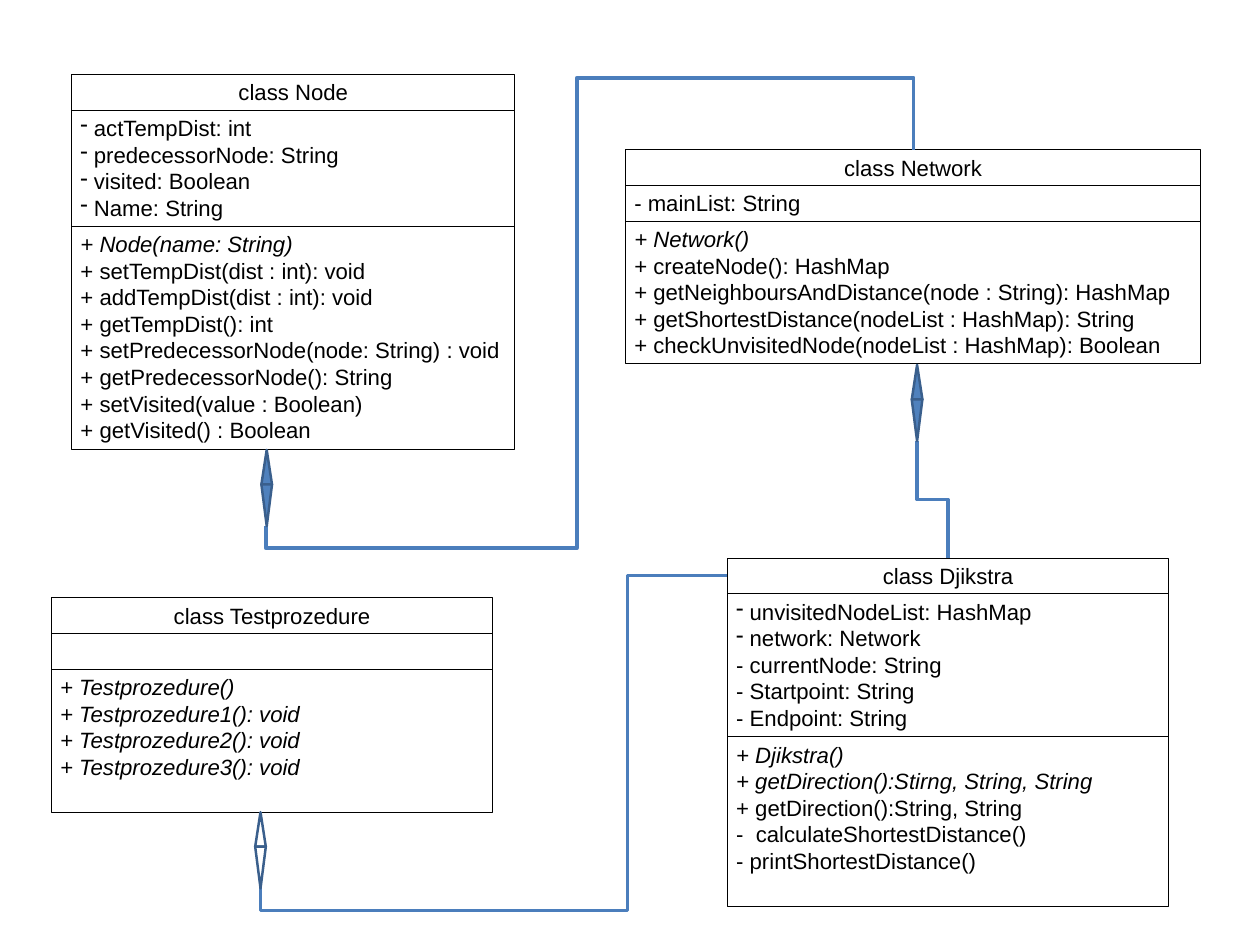
from lxml import etree
from pptx import Presentation
from pptx.dml.color import RGBColor
from pptx.enum.shapes import MSO_CONNECTOR, MSO_SHAPE
from pptx.enum.text import MSO_ANCHOR, PP_ALIGN
from pptx.oxml.ns import qn
from pptx.util import Inches, Pt

RECTANGLE = MSO_SHAPE.RECTANGLE
TRIANGLE = MSO_SHAPE.ISOSCELES_TRIANGLE
ELBOW = MSO_CONNECTOR.ELBOW
TOP = MSO_ANCHOR.TOP
LEFT, CENTER = PP_ALIGN.LEFT, PP_ALIGN.CENTER

COLORS = {
    "text": "000000",
    "border": "000000",
    "diamond": "4F81BD",
    "diamond_edge": "3A5F8C",
    "connector": "4B7EBC",
}
FONT = "Arial"
FONT_SIZE = 18
LINE_HEIGHT = 21.8 / 72
ROW_PADDING = 0.1
DIAMOND_WIDTH = 0.12
DIAMOND_UPPER, DIAMOND_LOWER = 0.39, 0.47

# Left, top, width, name, attributes, methods, italic methods, lines in the
# method row. An attribute that starts with a space gets a dash as its bullet.
CLASSES = [
    (0.81, 0.84, 5, "class Node",
     [" actTempDist: int", " predecessorNode: String",
      " visited: Boolean", " Name: String"],
     ["+ Node(name: String)", "+ setTempDist(dist : int): void",
      "+ addTempDist(dist : int): void", "+ getTempDist(): int",
      "+ setPredecessorNode(node: String) : void",
      "+ getPredecessorNode(): String", "+ setVisited(value : Boolean)",
      "+ getVisited() : Boolean"], 1, 8),
    (8.21, 6.3, 4.98, "class Djikstra",
     [" unvisitedNodeList: HashMap", " network: Network",
      "- currentNode: String", "- Startpoint: String", "- Endpoint: String"],
     ["+ Djikstra()", "+ getDirection():Stirng, String, String",
      "+ getDirection():String, String", "-  calculateShortestDistance()",
      "- printShortestDistance()"], 2, 6),
    (7.06, 1.69, 6.49, "class Network",
     ["- mainList: String"],
     ["+ Network()", "+ createNode(): HashMap",
      "+ getNeighboursAndDistance(node : String): HashMap",
      "+ getShortestDistance(nodeList : HashMap): String",
      "+ checkUnvisitedNode(nodeList : HashMap): Boolean"], 1, 5),
    (0.58, 6.75, 4.98, "class Testprozedure",
     [],
     ["+ Testprozedure()", "+ Testprozedure1(): void",
      "+ Testprozedure2(): void", "+ Testprozedure3(): void"], 4, 5),
]

# Centre, top, filled
DIAMONDS = [(10.35, 4.12, True), (3.01, 5.08, True), (2.94, 9.17, False)]

# Start, end, and the bends as alternating y and x positions
CONNECTORS = [
    ((3, 5.94), (10.31, 1.69), (6.19, 6.51, 0.88)),
    ((10.35, 4.98), (10.7, 6.3), (5.64,)),
    ((2.94, 10.03), (8.21, 6.5), (10.28, 7.08)),
]


def color(name):
    return RGBColor.from_string(COLORS[name])


def add_outlined_shape(group, kind, frame, line_color, line_width, fill=None):
    shape = group.shapes.add_shape(kind, *(Inches(length) for length in frame))
    shape.shadow.inherit = False
    if fill:
        shape.fill.solid()
        shape.fill.fore_color.rgb = color(fill)
    else:
        shape.fill.background()
    shape.line.color.rgb = color(line_color)
    shape.line.width = Pt(line_width)
    return shape


def add_dash_bullet(paragraph):
    properties = paragraph._p.get_or_add_pPr()
    properties.set("marL", "0")
    properties.set("indent", "0")
    etree.SubElement(properties, qn("a:buChar")).set("char", "-")


def add_row(group, frame, lines, alignment=LEFT, italic_count=0):
    """Draw one compartment of a class box."""
    shape = add_outlined_shape(group, RECTANGLE, frame, "border", 0.75)
    text_frame = shape.text_frame
    text_frame.word_wrap = True
    text_frame.vertical_anchor = TOP
    for index, line in enumerate(lines):
        paragraph = text_frame.add_paragraph() if index else text_frame.paragraphs[0]
        paragraph.alignment = alignment
        if line.startswith(" "):
            add_dash_bullet(paragraph)
        run = paragraph.add_run()
        run.text = line
        run.font.name = FONT
        run.font.size = Pt(FONT_SIZE)
        run.font.italic = index < italic_count
        run.font.color.rgb = color("text")


def add_class_box(slide, left, top, width, name, attributes, methods,
                  italic_count, method_lines):
    group = slide.shapes.add_group_shape()
    rows = [
        ([name], 1, CENTER, 0),
        (attributes, max(1, len(attributes)), LEFT, 0),
        (methods, method_lines, LEFT, italic_count),
    ]
    for lines, line_count, alignment, italics in rows:
        height = line_count * LINE_HEIGHT + ROW_PADDING
        add_row(group, (left, top, width, height), lines, alignment, italics)
        top += height


def add_diamond(slide, center, top, filled):
    """Build a slim diamond from two triangles, the lower one upside down."""
    group = slide.shapes.add_group_shape()
    fill = "diamond" if filled else None
    left = center - DIAMOND_WIDTH / 2
    for height, rotation in ((DIAMOND_UPPER, 0), (DIAMOND_LOWER, 180)):
        triangle = add_outlined_shape(
            group, TRIANGLE, (left, top, DIAMOND_WIDTH, height),
            "diamond_edge", 2, fill)
        triangle.rotation = rotation
        top += height


def add_elbow(slide, start, end, bends):
    """Draw an elbow that leaves its start vertically and runs to the right."""
    connector = slide.shapes.add_connector(
        ELBOW, *(Inches(length) for length in start + end))
    connector.line.color.rgb = color("connector")
    connector.line.width = Pt(3)
    properties = connector._element.spPr
    etree.SubElement(properties, qn("a:effectLst"))

    # A quarter turn swaps the width and height around the same centre
    spans = (end[1] - start[1], end[0] - start[0])
    width, height = abs(spans[0]), abs(spans[1])
    connector.left = Inches((start[0] + end[0] - width) / 2)
    connector.top = Inches((start[1] + end[1] - height) / 2)
    connector.width, connector.height = Inches(width), Inches(height)
    transform = properties.find(qn("a:xfrm"))
    transform.set("rot", "5400000")
    transform.set("flipH", "1" if spans[0] < 0 else "0")
    transform.set("flipV", "1")

    # Each bend is a share of the way from start to end
    geometry = properties.find(qn("a:prstGeom"))
    geometry.set("prst", f"bentConnector{len(bends) + 2}")
    adjustments = geometry.find(qn("a:avLst"))
    for index, bend in enumerate(bends):
        axis = index % 2
        share = (bend - start[1 - axis]) / spans[axis]
        guide = etree.SubElement(adjustments, qn("a:gd"))
        guide.set("name", f"adj{index + 1}")
        guide.set("fmla", f"val {round(share * 100000)}")


def main():
    presentation = Presentation()
    presentation.slide_width = Inches(14.22)
    presentation.slide_height = Inches(10.67)
    slide = presentation.slides.add_slide(presentation.slide_layouts[6])

    for class_box in CLASSES:
        add_class_box(slide, *class_box)
    for connector in CONNECTORS:
        add_elbow(slide, *connector)
    for diamond in DIAMONDS:
        add_diamond(slide, *diamond)

    presentation.save("out.pptx")


if __name__ == "__main__":
    main()
